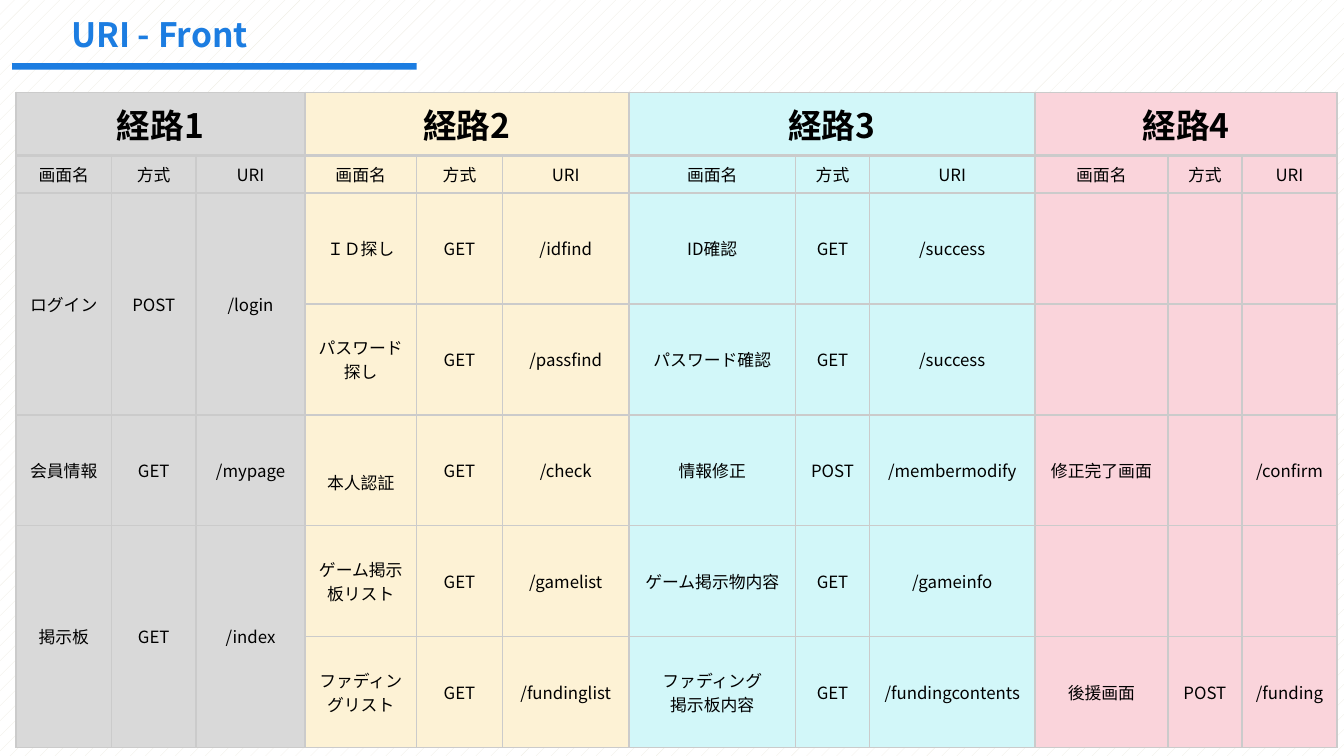
"""Build the front-end URI table slide."""
from dataclasses import dataclass

from lxml import etree
from pptx import Presentation
from pptx.dml.color import RGBColor
from pptx.enum.dml import MSO_PATTERN
from pptx.enum.shapes import MSO_SHAPE
from pptx.enum.text import MSO_ANCHOR, MSO_AUTO_SIZE, PP_ALIGN
from pptx.oxml.ns import qn
from pptx.slide import Slide
from pptx.table import Table, _Cell
from pptx.text.text import TextFrame
from pptx.util import Pt

CENTER, LEFT = PP_ALIGN.CENTER, PP_ALIGN.LEFT
MIDDLE = MSO_ANCHOR.MIDDLE
RECTANGLE = MSO_SHAPE.RECTANGLE
DOTTED = MSO_PATTERN.PERCENT_10
GROW = MSO_AUTO_SIZE.SHAPE_TO_FIT_TEXT

FONT = "Noto Sans CJK JP"
BLUE, BLACK, GRID = "1C7DE1", "000000", "CBCBCB"
HEADINGS = ("画面名", "方式", "URI")
ROW_HEIGHTS = [33.8, 20.2] + [59.4] * 5
HEADER_ROWS = 2


@dataclass
class Screen:
    row: int
    name: str
    method: str
    uri: str
    span: int = 1
    name_margin_top: float = 3.6


@dataclass
class Route:
    title: str
    fill: str
    widths: tuple[float, float, float]
    screens: list[Screen]


ROUTES = [
    Route("経路1", "D9D9D9", (51.1, 45.4, 58.3), [
        Screen(0, "ログイン", "POST", "/login", span=2),
        Screen(2, "会員情報", "GET", "/mypage"),
        Screen(3, "掲示板", "GET", "/index", span=2),
    ]),
    Route("経路2", "FDF2D5", (59.8, 46.1, 67.7), [
        Screen(0, "ＩＤ探し", "GET", "/idfind"),
        Screen(1, "パスワード探し", "GET", "/passfind"),
        Screen(2, "本人認証", "GET", "/check", name_margin_top=16.6),
        Screen(3, "ゲーム掲示板リスト", "GET", "/gamelist"),
        Screen(4, "ファディングリスト", "GET", "/fundinglist"),
    ]),
    Route("経路3", "D2F7F9", (89.3, 39.6, 88.6), [
        Screen(0, "ID確認", "GET", "/success"),
        Screen(1, "パスワード確認", "GET", "/success"),
        Screen(2, "情報修正", "POST", "/membermodify"),
        Screen(3, "ゲーム掲示物内容", "GET", "/gameinfo"),
        Screen(4, "ファディング\n掲示板内容", "GET", "/fundingcontents"),
    ]),
    Route("経路4", "FAD4DB", (71.3, 39.6, 51.1), [
        Screen(2, "修正完了画面", "", "/confirm"),
        Screen(4, "後援画面", "POST", "/funding"),
    ]),
]


def color(value: str) -> RGBColor:
    """Turn a hex string into a colour."""
    return RGBColor.from_string(value)


def write(frame: TextFrame, text: str, size: float, ink: str, bold: bool, align: PP_ALIGN) -> None:
    """Put formatted text into a frame."""
    frame.text = text
    for paragraph in frame.paragraphs:
        paragraph.alignment = align
        for span in paragraph.runs:
            span.font.name = FONT
            span.font.size = Pt(size)
            span.font.bold = bold
            span.font.color.rgb = color(ink)
            latin = span.font._element.find(qn("a:latin"))
            east_asian = etree.Element(qn("a:ea"), typeface=FONT)
            latin.addnext(east_asian)


def style_cell(cell: _Cell, fill: str, top: float, bottom: float) -> None:
    """Give a cell its borders and fill."""
    properties = cell._tc.get_or_add_tcPr()
    for side, width in (("L", 1), ("R", 1), ("T", top), ("B", bottom)):
        line = etree.SubElement(properties, qn(f"a:ln{side}"), w=str(Pt(width)))
        solid = etree.SubElement(line, qn("a:solidFill"))
        etree.SubElement(solid, qn("a:srgbClr"), val=GRID)
    cell.fill.solid()
    cell.fill.fore_color.rgb = color(fill)
    cell.vertical_anchor = MIDDLE


def draw_route(table: Table, route: Route, first_column: int) -> None:
    """Fill the three columns of one route."""
    for offset, width in enumerate(route.widths):
        column = first_column + offset
        table.columns[column].width = Pt(width)
        for row in range(len(ROW_HEIGHTS)):
            top = 2 if row == 1 else 1
            bottom = 2 if row == 0 else 1
            style_cell(table.cell(row, column), route.fill, top, bottom)
        write(table.cell(1, column).text_frame, HEADINGS[offset], 9, BLACK, False, CENTER)

    title = table.cell(0, first_column)
    title.merge(table.cell(0, first_column + 2))
    write(title.text_frame, route.title, 18, BLACK, True, CENTER)

    for screen in route.screens:
        row = HEADER_ROWS + screen.row
        for offset, text in enumerate((screen.name, screen.method, screen.uri)):
            cell = table.cell(row, first_column + offset)
            if screen.span > 1:
                cell.merge(table.cell(row + screen.span - 1, first_column + offset))
            write(cell.text_frame, text, 9, BLACK, False, CENTER)
        table.cell(row, first_column).margin_top = Pt(screen.name_margin_top)


def draw_title(page: Slide) -> None:
    """Place the slide title and the bar under it."""
    title = page.shapes.title
    title.left, title.top, title.width, title.height = Pt(31), Pt(3.6), Pt(212.4), Pt(28.8)
    write(title.text_frame, "URI - Front", 18, BLUE, True, LEFT)
    title.text_frame.vertical_anchor = MIDDLE
    title.text_frame.auto_size = GROW
    bar = page.shapes.add_shape(RECTANGLE, Pt(6.5), Pt(33.8), Pt(216.7), Pt(3.6))
    bar.shadow.inherit = False
    bar.fill.solid()
    bar.fill.fore_color.rgb = color(BLUE)
    bar.line.fill.background()


def draw_table(page: Slide) -> None:
    """Place the table of all routes."""
    width = sum(sum(route.widths) for route in ROUTES)
    columns = len(ROUTES) * len(HEADINGS)
    frame = page.shapes.add_table(
        len(ROW_HEIGHTS), columns, Pt(8.6), Pt(49.5), Pt(width), Pt(sum(ROW_HEIGHTS)))
    table = frame.table
    table.first_row = False
    table.horz_banding = False
    for row, height in zip(table.rows, ROW_HEIGHTS):
        row.height = Pt(height)
    for index, route in enumerate(ROUTES):
        draw_route(table, route, index * len(HEADINGS))


def main() -> None:
    """Create and save the deck."""
    deck = Presentation()
    deck.slide_width, deck.slide_height = Pt(720), Pt(405)
    page = deck.slides.add_slide(deck.slide_layouts[5])
    backdrop = page.background.fill
    backdrop.patterned()
    backdrop.pattern = DOTTED
    backdrop.fore_color.rgb = color("EEECE1")
    backdrop.back_color.rgb = color("FFFFFF")
    draw_title(page)
    draw_table(page)
    deck.save("out.pptx")


if __name__ == "__main__":
    main()
